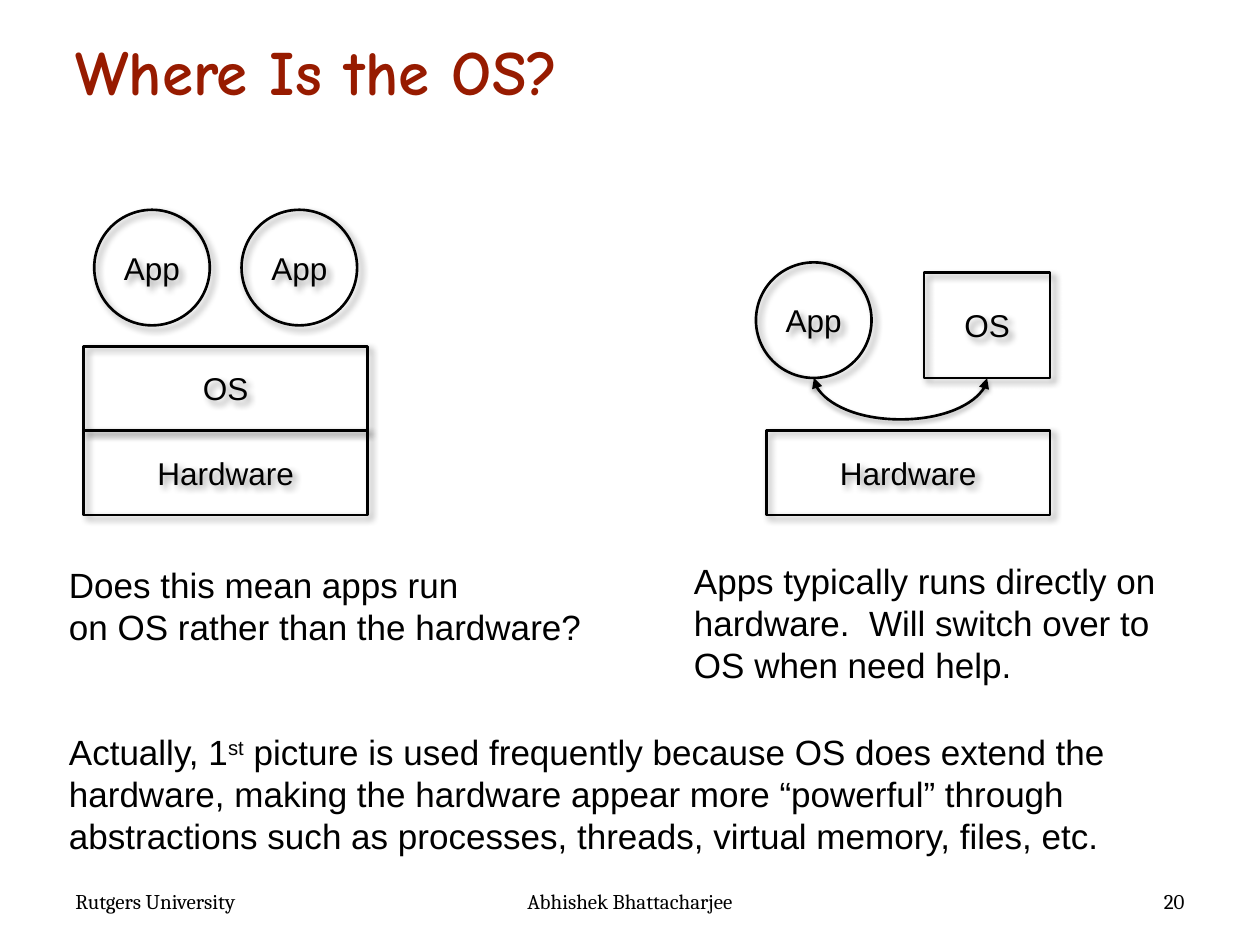
from lxml.etree import SubElement
from pptx import Presentation
from pptx.dml.color import RGBColor
from pptx.enum.shapes import MSO_CONNECTOR, MSO_SHAPE
from pptx.enum.text import MSO_ANCHOR, MSO_AUTO_SIZE, PP_ALIGN
from pptx.oxml.ns import qn
from pptx.util import Cm, Pt

# Content: lengths in cm as left, top, width, height
TITLE = ("Where Is the OS?", (1.27, 0.33, 22.86, 1.98))
APP, BAR, BLOCK = (2.33, 2.33), (5.72, 1.7), (2.54, 2.12)
PARTS = [  # label, outline, left and top, size
    ("Hardware", MSO_SHAPE.RECTANGLE, (1.69, 8.68), BAR),
    ("OS", MSO_SHAPE.RECTANGLE, (1.69, 6.98), BAR),
    ("App", MSO_SHAPE.OVAL, (1.9, 4.23), APP),
    ("App", MSO_SHAPE.OVAL, (4.87, 4.23), APP),
    ("Hardware", MSO_SHAPE.RECTANGLE, (15.45, 8.68), BAR),
    ("OS", MSO_SHAPE.RECTANGLE, (18.63, 5.5), BLOCK),
    ("App", MSO_SHAPE.OVAL, (15.24, 5.29), APP),
]
SWITCH = {"left": 16.41, "right": 19.9, "top": 7.62, "sag": 0.84}
NOTES = [  # place, wrapped, paragraphs of (text, baseline) runs
    ((1.14, 11.23, 10.92, 1.97), False, [
        [("Does this mean apps run", 0)],
        [("on OS rather than the hardware?", 0)]]),
    ((13.74, 11.15, 9.91, 2.82), False, [
        [("Apps typically runs directly on", 0)],
        [("hardware.  Will switch over to", 0)],
        [("OS when need help.", 0)]]),
    ((1.14, 14.61, 22.76, 2.82), True, [
        [("Actually, 1", 0), ("st", 30),
         (" picture is used frequently because OS does extend the hardware, "
          "making the hardware appear more “powerful” through abstractions "
          "such as processes, threads, virtual memory, files, etc.", 0)]]),
]
FOOTER = [
    ("Rutgers University", 1.27, 4.01, PP_ALIGN.LEFT),
    ("Abhishek Bhattacharjee", 10.16, 5.08, PP_ALIGN.CENTER),
    ("20", 20.12, 4.01, PP_ALIGN.RIGHT),
]
FOOTER_TOP, FOOTER_HEIGHT = 17.78, 0.76

THEME = {
    "ink": RGBColor(0, 0, 0),
    "title": ("Comic Neue", 36, RGBColor(0x97, 0x1B, 0x00)),
    "label": ("Arial", 18, RGBColor(0, 0, 0)),
    "note": ("Arial", 20, RGBColor(0, 0, 0)),
    "footer": ("Cambria", 12, RGBColor(0, 0, 0)),
    "line": 1.5,
    "part_shadow": (40, 4, 3, 45),  # opacity %, blur pt, distance pt, angle
    "arrow_shadow": (38, 3.1, 1.6, 90),
}


def add_span(para, text, style, baseline=0):
    span = para.add_run()
    span.text = text
    span.font.name, size, span.font.color.rgb = THEME[style]
    span.font.size = Pt(size)
    if baseline:
        span.font._element.set("baseline", str(baseline * 1000))
    return span


def add_box(page, place, wrap=True):
    box = page.shapes.add_textbox(*map(Cm, place))
    box.text_frame.word_wrap = wrap
    box.text_frame.auto_size = MSO_AUTO_SIZE.SHAPE_TO_FIT_TEXT
    return box


def add_shadow(properties, style):
    opacity, blur, distance, angle = THEME[style]
    for old in properties.findall(qn("a:effectLst")):
        properties.remove(old)
    effects = SubElement(properties, qn("a:effectLst"))
    shadow = SubElement(effects, qn("a:outerShdw"), {
        "blurRad": str(Pt(blur)), "dist": str(Pt(distance)),
        "dir": str(angle * 60000), "algn": "ctr", "rotWithShape": "0"})
    color = SubElement(shadow, qn("a:srgbClr"), val=str(THEME["ink"]))
    SubElement(color, qn("a:alpha"), val=str(opacity * 1000))


def set_line(shape):
    shape.line.color.rgb = THEME["ink"]
    shape.line.width = Pt(THEME["line"])


def add_part(page, label, outline, corner, size):
    part = page.shapes.add_shape(outline, *map(Cm, corner + size))
    part.fill.background()
    set_line(part)
    add_shadow(part._element.spPr, "part_shadow")
    part.text_frame.vertical_anchor = MSO_ANCHOR.MIDDLE
    part.text_frame.word_wrap = False
    para = part.text_frame.paragraphs[0]
    para.alignment = PP_ALIGN.CENTER
    add_span(para, label, "label")


def add_switch(page, left, right, top, sag):
    """A thin curved connector turned a quarter, so that it hangs down."""
    span, thin = right - left, 0.01
    middle = (left + right) / 2
    x, y = middle - thin / 2, top - span / 2
    arrow = page.shapes.add_connector(
        MSO_CONNECTOR.CURVE, *map(Cm, (x, y, x + thin, y + span)))
    frame = arrow._element.spPr.find(qn("a:xfrm"))
    frame.set("rot", str(270 * 60000))
    frame.set("flipH", "1")
    guides = arrow._element.spPr.find(qn("a:prstGeom")).get_or_add_avLst()
    SubElement(guides, qn("a:gd"), name="adj1",
               fmla=f"val {round(sag / thin * 100000)}")
    set_line(arrow)
    for end in ("a:headEnd", "a:tailEnd"):
        SubElement(arrow.line._get_or_add_ln(), qn(end), type="triangle")
    add_shadow(arrow._element.spPr, "arrow_shadow")


def main():
    deck = Presentation()
    deck.slide_width, deck.slide_height = Cm(25.4), Cm(19.05)
    page = deck.slides.add_slide(deck.slide_layouts[5])

    # Title
    text, place = TITLE
    title = page.shapes.title
    title.left, title.top, title.width, title.height = map(Cm, place)
    title.text_frame.vertical_anchor = MSO_ANCHOR.BOTTOM
    para = title.text_frame.paragraphs[0]
    para.alignment = PP_ALIGN.LEFT
    add_span(para, text, "title").font.bold = True

    # Both diagrams
    for part in PARTS:
        add_part(page, *part)
    add_switch(page, **SWITCH)

    # Notes
    for place, wrap, paragraphs in NOTES:
        frame = add_box(page, place, wrap).text_frame
        for index, runs in enumerate(paragraphs):
            para = frame.add_paragraph() if index else frame.paragraphs[0]
            for text, baseline in runs:
                add_span(para, text, "note", baseline)

    # Footer
    for text, left, width, alignment in FOOTER:
        box = add_box(page, (left, FOOTER_TOP, width, FOOTER_HEIGHT))
        para = box.text_frame.paragraphs[0]
        para.alignment = alignment
        add_span(para, text, "footer")

    deck.save("out.pptx")


if __name__ == "__main__":
    main()
